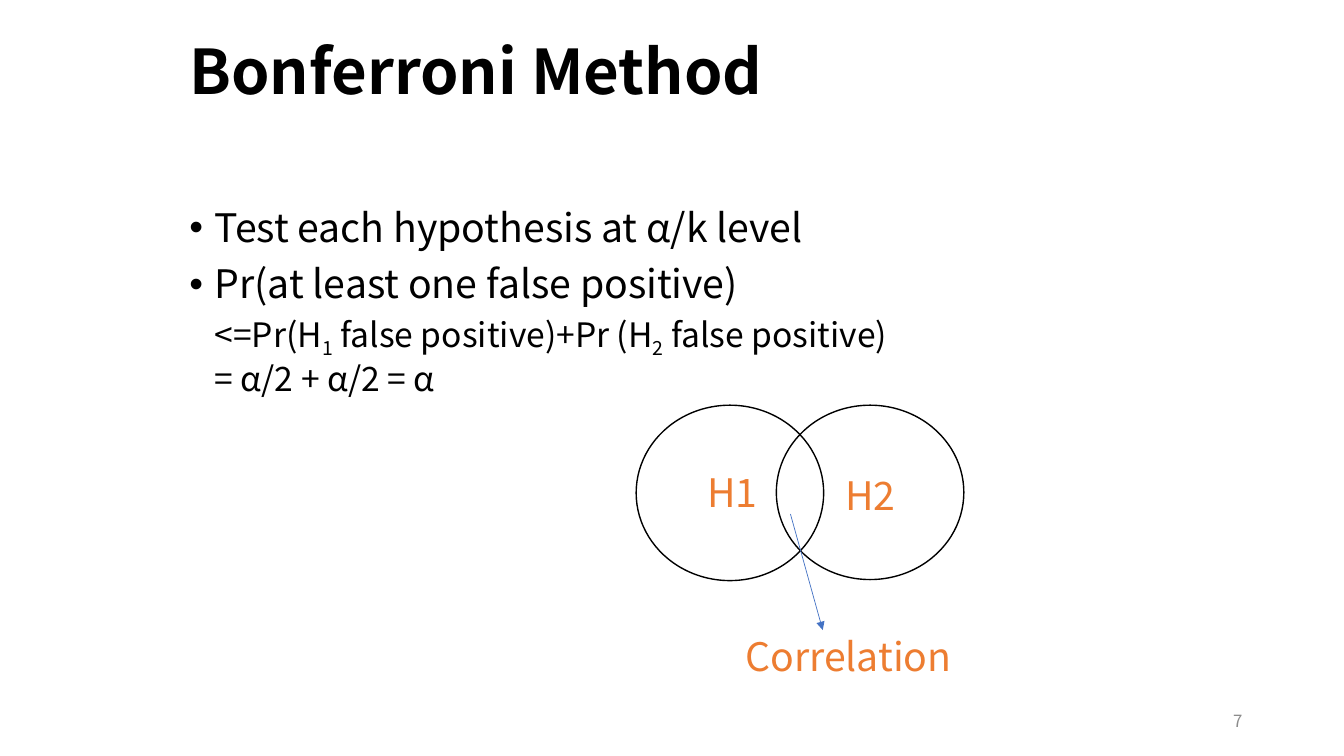
from lxml import etree
from pptx import Presentation, util as u
from pptx.dml.color import RGBColor
from pptx.enum import shapes, text
from pptx.oxml import ns

BLACK = RGBColor(0x00, 0x00, 0x00)
GRAY = RGBColor(0x8C, 0x8C, 0x8C)
ORANGE = RGBColor(0xED, 0x7D, 0x31)
BLUE = RGBColor(0x44, 0x72, 0xC4)
FONT = "Noto Sans CJK SC"
CELL = u.Inches(0.1)
LEFT, CENTER, RIGHT = text.PP_ALIGN.LEFT, text.PP_ALIGN.CENTER, text.PP_ALIGN.RIGHT
TOP, MIDDLE = text.MSO_ANCHOR.TOP, text.MSO_ANCHOR.MIDDLE


def grid(*cells):
    return [round(cell * CELL) for cell in cells]


def write(paragraph, wording, size=28, color=BLACK, bold=False, baseline=0):
    run = paragraph.add_run()
    run.text = wording
    run.font.name = FONT
    run.font.size = u.Pt(size)
    run.font.bold = bold
    run.font.color.rgb = color
    if baseline:
        run._r.get_or_add_rPr().set("baseline", str(baseline * 1000))


class Board:
    """Slide canvas measured in square grid cells of a tenth of an inch."""

    def __init__(self, deck):
        self.slide = deck.slides.add_slide(deck.slide_layouts[6])

    def frame(self, *cells, anchor=TOP, inset=True):
        frame = self.slide.shapes.add_textbox(*grid(*cells)).text_frame
        frame.word_wrap = True
        frame.vertical_anchor = anchor
        if not inset:
            frame.margin_left = frame.margin_right = 0
            frame.margin_top = frame.margin_bottom = 0
        return frame

    def label(self, wording, *cells, align=CENTER, anchor=TOP, inset=False, spacing=1.0, **style):
        paragraph = self.frame(*cells, anchor=anchor, inset=inset).paragraphs[0]
        paragraph.alignment = align
        paragraph.line_spacing = spacing
        write(paragraph, wording, **style)

    def outline(self, lines, *cells):
        frame = self.frame(*cells)
        for index, (level, pieces) in enumerate(lines):
            paragraph = frame.add_paragraph() if index else frame.paragraphs[0]
            paragraph.level = level
            paragraph.line_spacing = 0.9
            paragraph.space_before = u.Pt(5 if level else 10)
            properties = paragraph._p.get_or_add_pPr()
            properties.set("marL", str(u.Inches(0.25)))
            properties.set("indent", str(0 if level else u.Inches(-0.25)))
            if level:
                etree.SubElement(properties, ns.qn("a:buNone"))
            else:
                etree.SubElement(properties, ns.qn("a:buFont"), typeface="Arial")
                etree.SubElement(properties, ns.qn("a:buChar"), char="•")
            for position, piece in enumerate(pieces):
                write(paragraph, piece, size=24 if level else 28, baseline=-25 if position % 2 else 0)

    def circle(self, *cells):
        circle = self.slide.shapes.add_shape(shapes.MSO_SHAPE.OVAL, *grid(*cells))
        circle.shadow.inherit = False
        circle.fill.background()
        circle.line.color.rgb = BLACK
        circle.line.width = u.Pt(1)

    def arrow(self, *cells):
        arrow = self.slide.shapes.add_connector(shapes.MSO_CONNECTOR.STRAIGHT, *grid(*cells))
        arrow.line.color.rgb = BLUE
        arrow.line.width = u.Pt(0.5)
        etree.SubElement(arrow.line._get_or_add_ln(), ns.qn("a:tailEnd"), type="triangle")
        etree.SubElement(arrow._element.spPr, ns.qn("a:effectLst"))


def main():
    deck = Presentation()
    deck.slide_width, deck.slide_height = u.Inches(13.33), u.Inches(7.5)
    board = Board(deck)
    board.label("Bonferroni Method", 17.8, 2.4, 98.4, 10, align=LEFT, anchor=MIDDLE,
                inset=True, spacing=0.9, size=44, bold=True)
    board.label("7", 94.2, 69.5, 30, 4, align=RIGHT, anchor=MIDDLE, inset=True,
                size=12, color=GRAY)
    board.outline([
        (0, ["Test each hypothesis at α/k level"]),
        (0, ["Pr(at least one false positive)"]),
        (1, ["<=Pr(H", "1", " false positive)+Pr (H", "2", " false positive)"]),
        (1, ["= α/2 + α/2 = α"]),
    ], 17.8, 20.2, 98.5, 47.5)
    hypotheses = [("H1", 63.1, 17.4, 68.3, 46.5), ("H2", 77, 17.3, 82, 46.8)]
    for name, circle_left, circle_height, name_left, name_top in hypotheses:
        board.circle(circle_left, 40.2, 18.6, circle_height)
        board.label(name, name_left, name_top, 8.7, 4.7, color=ORANGE)
    board.arrow(78.4, 51, 81.6, 62.5)
    board.label("Correlation", 73.9, 62.7, 20.5, 4.7, color=ORANGE)
    deck.save("out.pptx")


if __name__ == "__main__":
    main()
